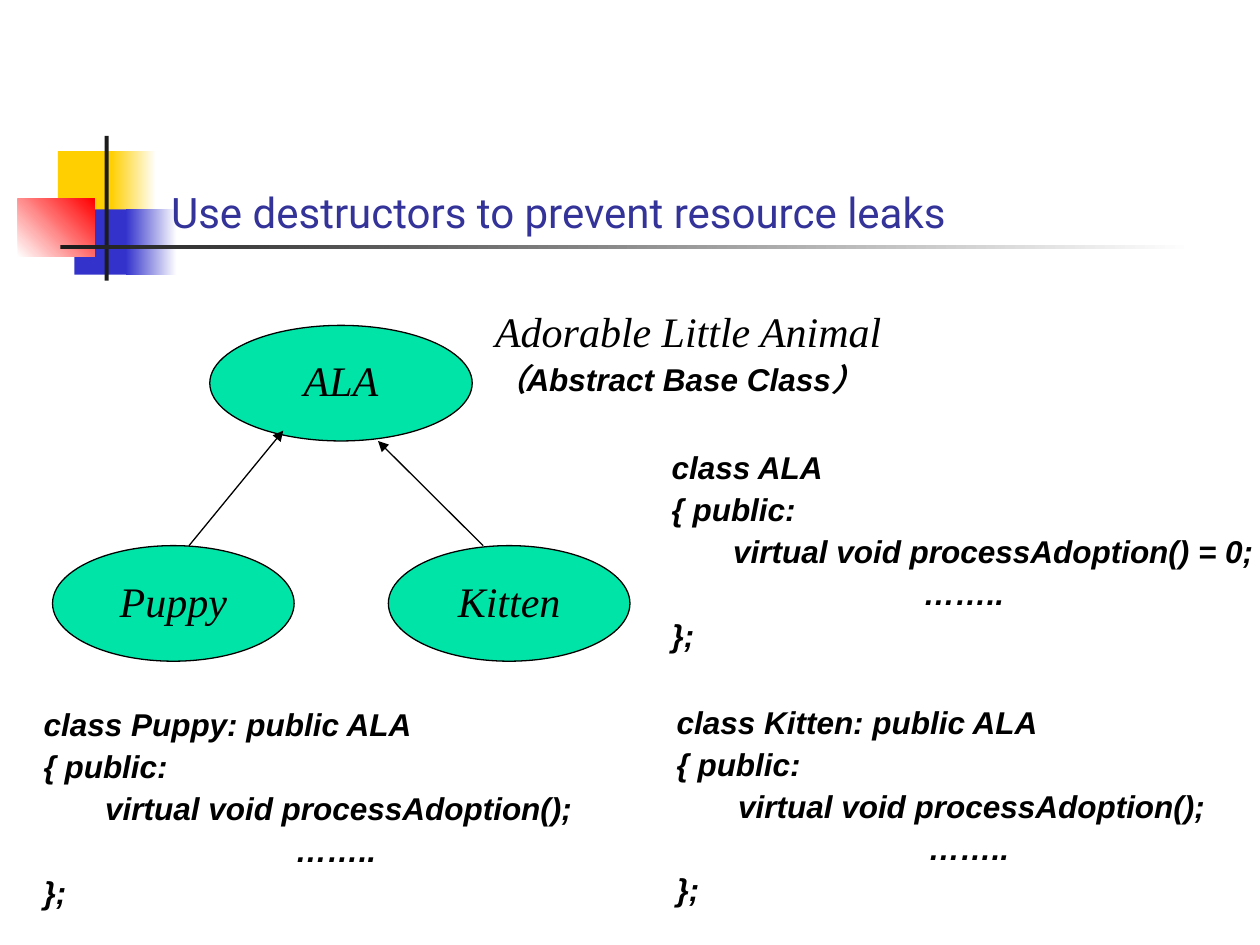
from dataclasses import dataclass

from lxml import etree
from pptx import Presentation
from pptx.dml.color import RGBColor
from pptx.enum.shapes import MSO_CONNECTOR, MSO_SHAPE
from pptx.enum.text import MSO_ANCHOR, PP_ALIGN
from pptx.oxml.ns import qn
from pptx.util import Cm, Pt

RECT, OVAL = MSO_SHAPE.RECTANGLE, MSO_SHAPE.OVAL
STRAIGHT = MSO_CONNECTOR.STRAIGHT
BOTTOM, MIDDLE, TOP = MSO_ANCHOR.BOTTOM, MSO_ANCHOR.MIDDLE, MSO_ANCHOR.TOP
LEFT, CENTER, JUSTIFY = PP_ALIGN.LEFT, PP_ALIGN.CENTER, PP_ALIGN.JUSTIFY
BLACK, WHITE, YELLOW, BLUE, RED = "000000", "FFFFFF", "FFCF01", "3333CC", "FF0000"
DARK, GREEN, TITLE = "1C1C1C", "00E4A8", "333399"
SERIF, SANS, HEAD = "Times New Roman", "Arial", "Roboto"


@dataclass
class Box:
    """A place on the slide, in centimetres."""
    left: float
    top: float
    width: float
    height: float

    def lengths(self) -> tuple:
        """Return the place as lengths."""
        return Cm(self.left), Cm(self.top), Cm(self.width), Cm(self.height)


@dataclass
class Block:
    """A decoration block; an end colour makes it a gradient."""
    box: Box
    color: str
    end: str = ""
    angle: float = 0


@dataclass
class Line:
    """One line of text with its font and left indent in centimetres."""
    text: str
    size: float = 18
    font: str = SANS
    bold: bool = True
    italic: bool = True
    indent: float = 0
    color: str = BLACK
    spaced: bool = True


@dataclass
class Listing:
    """A class declaration shown as code."""
    box: Box
    head: str
    method: str


def rgb(value: str) -> RGBColor:
    """Turn a hex string into a colour."""
    return RGBColor.from_string(value)


def write(tf, lines: list, align, anchor=TOP, wrap: bool = False) -> None:
    """Fill a text frame with lines."""
    tf.word_wrap = wrap
    tf.vertical_anchor = anchor
    for i, line in enumerate(lines):
        p = tf.add_paragraph() if i else tf.paragraphs[0]
        p.text = line.text
        p.alignment = align
        if line.spaced:
            p.line_spacing = 0.9
            p.space_before = Pt(line.size / 4)
        if line.indent:
            p._p.get_or_add_pPr().set("marL", str(Cm(line.indent)))
        font = p.font
        font.name, font.size = line.font, Pt(line.size)
        font.bold, font.italic = line.bold, line.italic
        font.color.rgb = rgb(line.color)


def add_text(s, box: Box, lines: list, align, anchor=TOP, wrap: bool = False) -> None:
    """Add a text box."""
    write(s.shapes.add_textbox(*box.lengths()).text_frame, lines, align, anchor, wrap)


def add_block(s, block: Block) -> None:
    """Add a plain or gradient rectangle."""
    sp = s.shapes.add_shape(RECT, *block.box.lengths())
    sp.shadow.inherit = False
    sp.line.fill.background()
    if not block.end:
        sp.fill.solid()
        sp.fill.fore_color.rgb = rgb(block.color)
        return
    sp.fill.gradient()
    sp.fill.gradient_angle = block.angle
    for stop, color, position in zip(sp.fill.gradient_stops, (block.color, block.end), (0, 1)):
        stop.color.rgb = rgb(color)
        stop.position = position


def add_class(s, name: str, box: Box) -> None:
    """Add an ellipse that names a class."""
    sp = s.shapes.add_shape(OVAL, *box.lengths())
    sp.shadow.inherit = False
    sp.fill.solid()
    sp.fill.fore_color.rgb = rgb(GREEN)
    sp.line.color.rgb = rgb(BLACK)
    sp.line.width = Pt(0.75)
    write(sp.text_frame, [Line(name, 24, SERIF, bold=False)], CENTER, MIDDLE)


def add_arrow(s, x1: float, y1: float, x2: float, y2: float) -> None:
    """Add an arrow that points at the second place."""
    c = s.shapes.add_connector(STRAIGHT, Cm(x1), Cm(y1), Cm(x2), Cm(y2))
    c.line.color.rgb = rgb(BLACK)
    c.line.width = Pt(0.75)
    etree.SubElement(c.line._get_or_add_ln(), qn("a:tailEnd"), type="triangle")
    etree.SubElement(c._element.spPr, qn("a:effectLst"))


def add_listing(s, listing: Listing) -> None:
    """Add the code of one class."""
    lines = [Line(listing.head), Line("{ public:"), Line(listing.method, indent=1.24),
             Line("……..", indent=5.08), Line("};")]
    add_text(s, listing.box, lines, JUSTIFY)


BLOCKS = [
    Block(Box(1.17, 3.05, 1.22, 1.32), YELLOW),
    Block(Box(2.24, 3.05, 0.91, 1.32), YELLOW, WHITE),
    Block(Box(1.5, 4.22, 1.17, 1.32), BLUE),
    Block(Box(2.54, 4.22, 1.02, 1.32), BLUE, WHITE),
    Block(Box(0.36, 4.01, 1.55, 1.17), WHITE, RED, 45),
    Block(Box(2.11, 2.74, 0.08, 2.92), DARK),
    Block(Box(1.22, 4.94, 22.86, 0.09), DARK, WHITE),
]
CLASSES = {
    "ALA": Box(4.23, 6.56, 5.29, 2.33),
    "Puppy": Box(1.06, 11.0, 4.87, 2.33),
    "Kitten": Box(7.83, 11.0, 4.87, 2.33),
}
ARROWS = [(9.74, 11.0, 7.62, 8.89), (3.81, 11.0, 5.71, 8.68)]
LISTINGS = [
    Listing(Box(13.29, 8.99, 12.24, 4.07), "class ALA", "virtual void processAdoption() = 0;"),
    Listing(Box(0.63, 14.18, 11.18, 4.07), "class Puppy: public ALA",
            "virtual void processAdoption();"),
    Listing(Box(13.39, 14.13, 11.18, 4.07), "class Kitten: public ALA",
            "virtual void processAdoption();"),
]

prs = Presentation()
prs.slide_width, prs.slide_height = Cm(25.4), Cm(19.05)
s = prs.slides.add_slide(prs.slide_layouts[6])

for block in BLOCKS:
    add_block(s, block)
add_text(s, Box(3.2, 1.73, 21.64, 3.18),
         [Line("Use destructors to prevent resource leaks", 24, HEAD, bold=False,
               italic=False, color=TITLE, spaced=False)], LEFT, BOTTOM, wrap=True)
for name, box in CLASSES.items():
    add_class(s, name, box)
for ends in ARROWS:
    add_arrow(s, *ends)
add_text(s, Box(9.73, 6.15, 8.43, 2.03),
         [Line("Adorable Little Animal", 24, SERIF, bold=False),
          Line("（Abstract Base Class）")], JUSTIFY)
for listing in LISTINGS:
    add_listing(s, listing)

prs.save("out.pptx")
